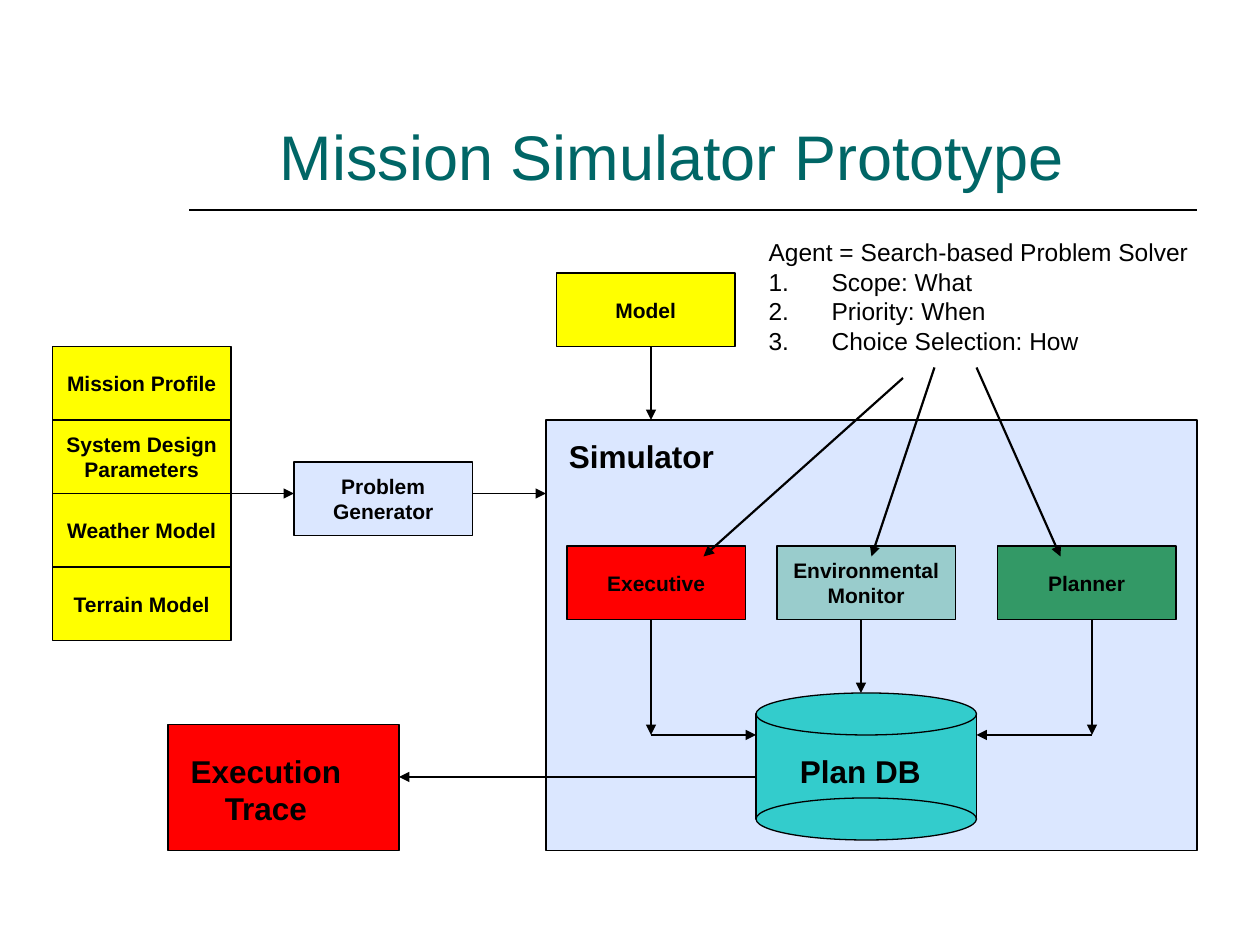
from collections import namedtuple

from lxml.etree import SubElement
from pptx import Presentation
from pptx.dml.color import RGBColor
from pptx.enum.shapes import MSO_CONNECTOR as Connector, MSO_SHAPE as Shape
from pptx.enum.text import MSO_ANCHOR as Anchor, MSO_AUTO_SIZE as AutoSize, PP_ALIGN as Align
from pptx.oxml.ns import qn
from pptx.util import Pt

Box = namedtuple("Box", "left top width height")
BLACK, YELLOW, RED, PALE = "000000", "FFFF00", "FF0000", "DBE7FF"
TEAL, CYAN, GREEN, TITLE = "99CCCC", "33CCCC", "339966", "006666"
NODE_WIDTH, NODE_HEIGHT = 102, 42


def color(value):
    """Turn a hex string into a colour."""
    return RGBColor.from_string(value)


def assign(target, values):
    """Set every attribute named in a dict."""
    for name, value in values.items():
        setattr(target, name, value)


def place(item, box):
    """Move and size an object to a box in points."""
    assign(item, {name: Pt(value) for name, value in box._asdict().items()})


def write(item, lines, size, align=Align.CENTER, anchor=Anchor.MIDDLE,
          bold=True, wrap=False, ink=BLACK):
    """Fill an object with formatted paragraphs."""
    frame = item.text_frame
    assign(frame, {"text": "\n".join(lines), "word_wrap": wrap,
                   "auto_size": AutoSize.NONE, "vertical_anchor": anchor})
    for para in frame.paragraphs:
        assign(para, {"alignment": align, "space_before": Pt(0)})
        for span in para.runs:
            assign(span.font, {"name": "Arial", "size": Pt(size), "bold": bold})
            span.font.color.rgb = color(ink)


def add_figure(page, box, fill, lines=(), kind=Shape.RECTANGLE):
    """Add an outlined shape with optional centred text."""
    figure = page.shapes.add_shape(kind, *map(Pt, box))
    figure.shadow.inherit = False
    figure.fill.solid()
    figure.fill.fore_color.rgb = color(fill)
    figure.line.color.rgb = color(BLACK)
    figure.line.width = Pt(0.75)
    if lines:
        write(figure, lines, 12)


def add_node(page, left, top, fill, *lines):
    """Add one standard-size box of the diagram."""
    add_figure(page, Box(left, top, NODE_WIDTH, NODE_HEIGHT), fill, lines)


def add_label(page, box, *lines, align=Align.LEFT):
    """Add a large bold label."""
    label = page.shapes.add_textbox(*map(Pt, box))
    write(label, lines, 18, align, Anchor.TOP)


def add_line(page, start, end, width=0.75, arrow=True):
    """Draw a straight black line, with an arrowhead if wanted."""
    line = page.shapes.add_connector(Connector.STRAIGHT, *map(Pt, start + end))
    line.line.color.rgb = color(BLACK)
    line.line.width = Pt(width)
    if arrow:
        SubElement(line.line._ln, qn("a:tailEnd"), type="triangle")
    SubElement(line._element.spPr, qn("a:effectLst"))


def add_heading(page, box):
    """Place the title and the rule beneath it."""
    title = page.shapes.title
    place(title, box)
    write(title, ["Mission Simulator Prototype"], 36, anchor=Anchor.BOTTOM,
          bold=False, wrap=True, ink=TITLE)
    right, rule = box.left + box.width, box.top + box.height + 6
    add_line(page, (box.left + 24, rule), (right, rule), 1, arrow=False)


def add_inputs(page, box):
    """Stack the input boxes and lead them through the generator."""
    inputs = [["Mission Profile"], ["System Design", "Parameters"],
              ["Weather Model"], ["Terrain Model"]]
    for row, lines in enumerate(inputs):
        add_node(page, box.left, box.top + row * NODE_HEIGHT, YELLOW, *lines)
    generator = box.left + 138
    add_node(page, generator, box.top + 66, PALE, "Problem", "Generator")
    middle = box.top + box.height / 2
    add_line(page, (box.left + NODE_WIDTH, middle), (generator, middle))
    add_line(page, (generator + NODE_WIDTH, middle), (box.left + box.width, middle))


def add_simulator(page, box):
    """Place the simulator with its model, agents and database."""
    left, top = box.left, box.top
    add_figure(page, box, PALE)
    add_label(page, Box(left + 6, top + 6, 97, 29), "Simulator")
    add_node(page, left + 6, top - 84, YELLOW, "Model")
    add_line(page, (left + 60, top - NODE_HEIGHT), (left + 60, top))
    agents = [(12, RED, ["Executive"]), (132, TEAL, ["Environmental", "Monitor"]),
              (258, GREEN, ["Planner"])]
    for offset, fill, lines in agents:
        add_node(page, left + offset, top + 72, fill, *lines)
    add_database(page, Box(left + 120, top + 156, 126, 84))
    bottom, turn = top + 72 + NODE_HEIGHT, top + 180
    add_line(page, (left + 180, bottom), (left + 180, top + 156))
    for stem, side in [(60, 120), (312, 246)]:
        add_line(page, (left + stem, bottom), (left + stem, turn))
        add_line(page, (left + stem, turn), (left + side, turn))


def add_database(page, box):
    """Build the database drum from a body and two ellipses."""
    rim = 24
    add_figure(page, Box(box.left, box.top + rim / 2, box.width, box.height - rim), CYAN)
    for top in (box.top + box.height - rim, box.top):
        add_figure(page, Box(box.left, top, box.width, rim), CYAN, kind=Shape.OVAL)
    add_label(page, Box(box.left + 18, box.top + 30, 84, 29), "Plan DB")


def add_trace(page, box):
    """Place the execution trace and the arrow that feeds it."""
    add_figure(page, box, RED)
    add_label(page, Box(box.left + 6, box.top + 12, 100, 50),
              "Execution", "Trace", align=Align.CENTER)
    right, level = box.left + box.width, box.top + 30
    add_line(page, (right + 204, level), (right, level))


def add_agent_notes(page, box):
    """Place the numbered agent notes and their arrows to the agents."""
    notes = page.placeholders[1]
    place(notes, box)
    write(notes, ["Agent = Search-based Problem Solver", "Scope: What",
                  "Priority: When", "Choice Selection: How"], 14,
          Align.LEFT, Anchor.TOP, bold=False, wrap=True)
    for index, para in enumerate(notes.text_frame.paragraphs):
        props = para._p.get_or_add_pPr()
        props.set("marL", str(Pt(36)))
        props.set("indent", str(Pt(-36)))
        if index:
            SubElement(props, qn("a:buFont"), typeface="Arial")
            SubElement(props, qn("a:buAutoNum"), type="arabicPeriod")
        else:
            SubElement(props, qn("a:buNone"))
    for start, drop, end in [(84, 84, -30), (102, 78, 66), (126, 78, 174)]:
        add_line(page, (box.left + start, box.top + drop),
                 (box.left + end, box.top + 186), 1.25)


def main():
    """Build and save the deck."""
    deck = Presentation()
    assign(deck, {"slide_width": Pt(720), "slide_height": Pt(540)})
    page = deck.slides.add_slide(deck.slide_layouts[1])
    add_heading(page, Box(84, 24, 600, 90))
    add_inputs(page, Box(30, 198, 282, 168))
    add_simulator(page, Box(312, 240, 372, 246))
    add_trace(page, Box(96, 414, 132, 72))
    add_agent_notes(page, Box(432, 132, 264, 75))
    deck.save("out.pptx")


if __name__ == "__main__":
    main()
